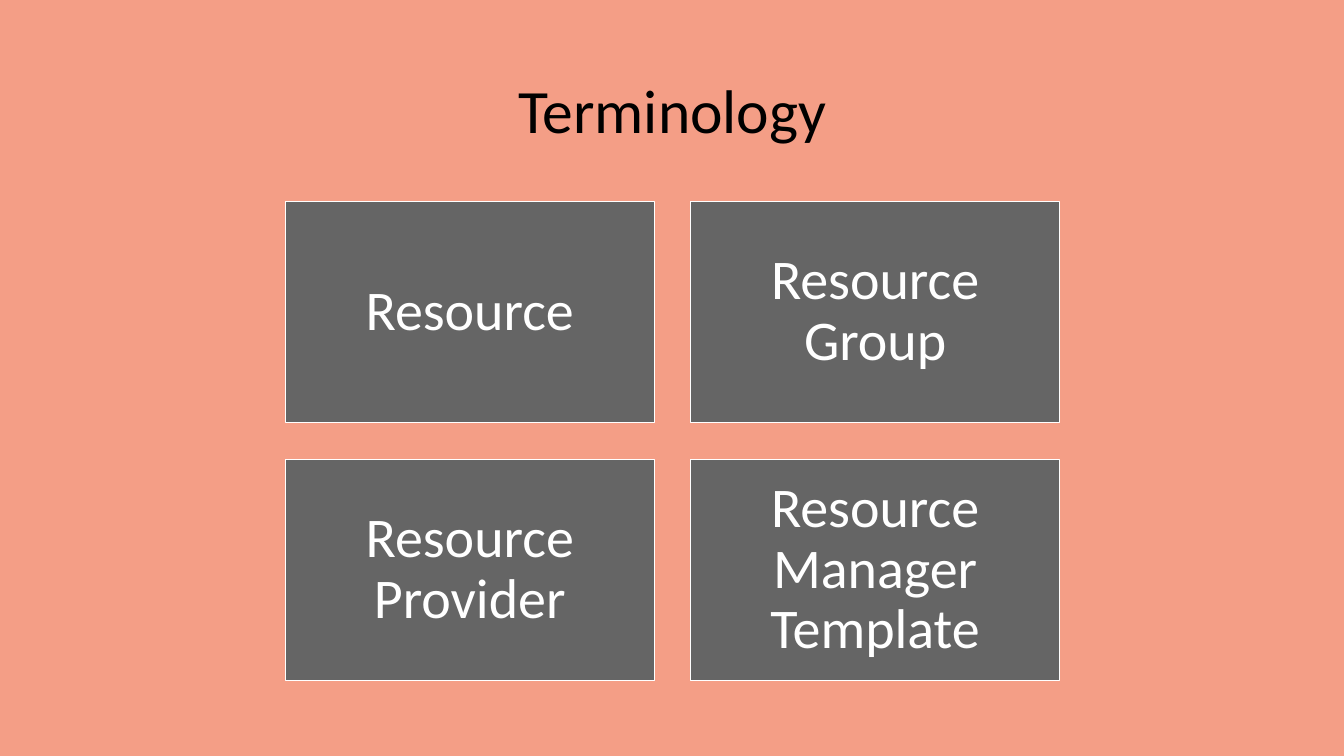
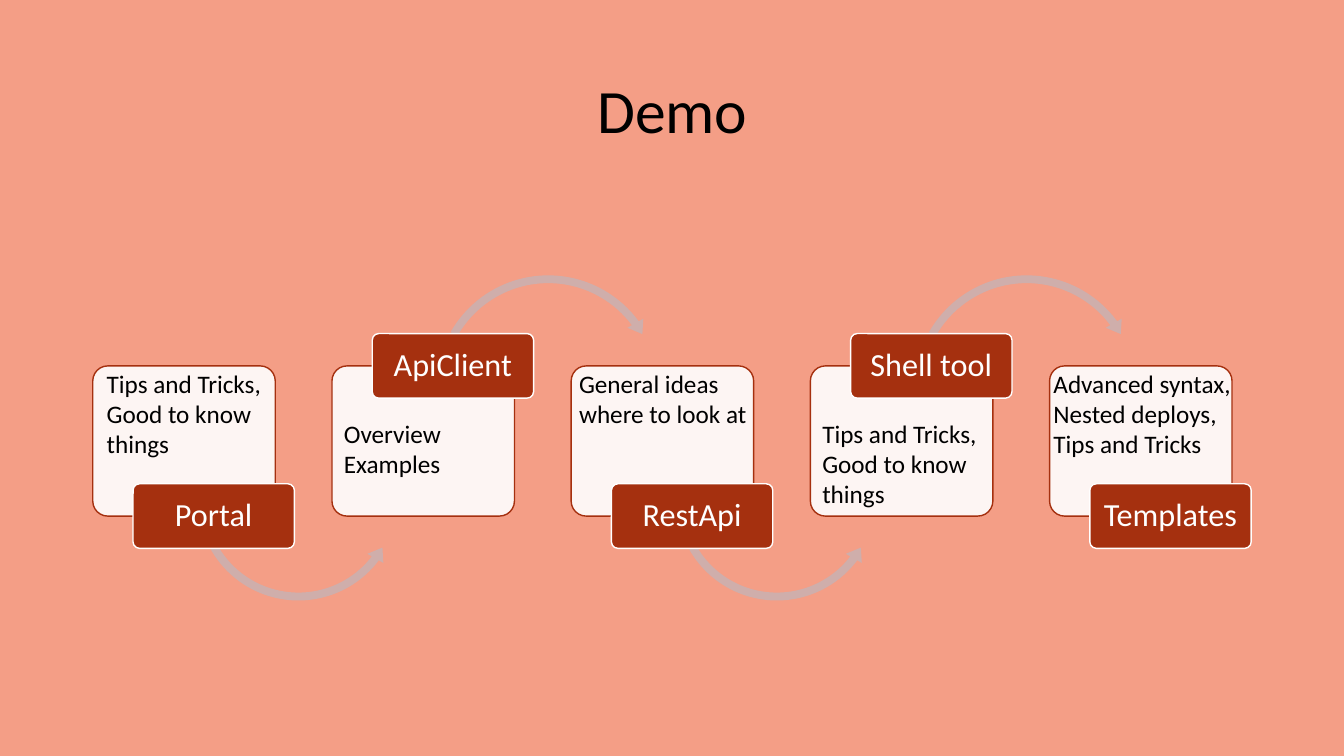
from lxml import etree
from pptx import Presentation
from pptx.dml.color import RGBColor
from pptx.enum.shapes import MSO_SHAPE
from pptx.enum.text import MSO_ANCHOR, PP_ALIGN
from pptx.oxml.ns import qn
from pptx.util import Inches, Pt

CENTER, LEFT = PP_ALIGN.CENTER, PP_ALIGN.LEFT
MIDDLE, TOP = MSO_ANCHOR.MIDDLE, MSO_ANCHOR.TOP
RECTANGLE, ROUNDED = MSO_SHAPE.RECTANGLE, MSO_SHAPE.ROUNDED_RECTANGLE
ARC_BELOW, ARC_ABOVE = MSO_SHAPE.LEFT_CIRCULAR_ARROW, MSO_SHAPE.CIRCULAR_ARROW

SALMON = RGBColor(0xF4, 0x9E, 0x86)
GRAY = RGBColor(0x65, 0x65, 0x65)
RUST = RGBColor(0xA5, 0x30, 0x0F)
DUSTY_PINK = RGBColor(0xCF, 0xAE, 0xAB)
WHITE = RGBColor(0xFF, 0xFF, 0xFF)
BLACK = RGBColor(0, 0, 0)
FONT = "Calibri"


def add_block(slide, kind, left, top, width, height, fill, line=None, adjustments=()):
    block = slide.shapes.add_shape(
        kind, Inches(left), Inches(top), Inches(width), Inches(height))
    block.shadow.inherit = False
    block.fill.solid()
    block.fill.fore_color.rgb = fill
    if line is None:
        block.line.fill.background()
    else:
        block.line.color.rgb = line
        block.line.width = Pt(1)
    for index, value in enumerate(adjustments):
        block.adjustments[index] = value
    return block


def write(holder, text, size, color, align=CENTER, anchor=MIDDLE,
          spacing=0.9, side=0.1, edge=0.05):
    frame = holder.text_frame
    frame.text = text
    frame.word_wrap = True
    frame.vertical_anchor = anchor
    frame.margin_left = frame.margin_right = Inches(side)
    frame.margin_top = frame.margin_bottom = Inches(edge)
    for paragraph in frame.paragraphs:
        paragraph.alignment = align
        paragraph.line_spacing = spacing
        for run in paragraph.runs:
            run.font.name = FONT
            run.font.size = Pt(size)
            run.font.color.rgb = color


deck = Presentation()
deck.slide_width, deck.slide_height = Inches(13.33), Inches(7.5)
background = deck.slide_master.background.fill
background.solid()
background.fore_color.rgb = SALMON

slides = []
for heading in ("Terminology", "Demo"):
    slide = deck.slides.add_slide(deck.slide_layouts[6])
    title = slide.shapes.add_textbox(Inches(0.92), Inches(0.4), Inches(11.5), Inches(1.45))
    write(title, heading, 44, BLACK)
    slides.append(slide)
terminology, demo = slides

terms = ("Resource", "Resource Group", "Resource Provider", "Resource Manager Template")
for index, term in enumerate(terms):
    row, column = divmod(index, 2)
    tile = add_block(terminology, RECTANGLE, 2.83 + 4.02 * column, 2 + 2.56 * row,
                     3.66, 2.19, GRAY, WHITE)
    write(tile, term, 40, WHITE, side=0.17, edge=0.17)

stages = (
    ("Portal", "Tips and Tricks,\nGood to know\nthings", 0.04),
    ("ApiClient", "Overview\nExamples", 0.02),
    ("RestApi", "General ideas\nwhere to look at", -0.02),
    ("Shell tool", "Tips and Tricks,\nGood to know\nthings", 0.02),
    ("Templates", "Advanced syntax,\nNested deploys,\nTips and Tricks", -0.06),
)
pitch = (10.41 - 0.92) / (len(stages) - 1)
arcs = (
    (ARC_BELOW, 0.99, 3.91, 2.1, (0.03731, 4.57434, 22.32945, 90.24489, 0.04352)),
    (ARC_ABOVE, 0.98, 2.68, 2.33, (0.0333, 4.086, 194.159, 125.755, 0.039)),
)
label_tops = (4.8, 3.31)
note_tops = (3.6, 4.1)

for index, (name, details, note_shift) in enumerate(stages):
    left = 0.92 + pitch * index
    side = index % 2
    card = add_block(demo, ROUNDED, left, 3.63, 1.81, 1.49, WHITE, RUST, (0.1,))
    card_color = card.fill._xPr.find(qn("a:solidFill"))[0]
    etree.SubElement(card_color, qn("a:alpha"), val="90000")

    if index < len(stages) - 1:
        arc, shift, top, size, adjustments = arcs[side]
        add_block(demo, arc, left + shift, top, size, size, DUSTY_PINK,
                  adjustments=adjustments)

    label = add_block(demo, ROUNDED, left + 0.4, label_tops[side], 1.6, 0.64,
                      RUST, WHITE, (0.1,))
    write(label, name, 23, WHITE, side=0.05, edge=0.03)

    note = demo.shapes.add_textbox(Inches(left + note_shift), Inches(note_tops[side]),
                                   Inches(2.1), Inches(1.01))
    write(note, details, 18, BLACK, LEFT, TOP, spacing=1)

deck.save("out.pptx")
